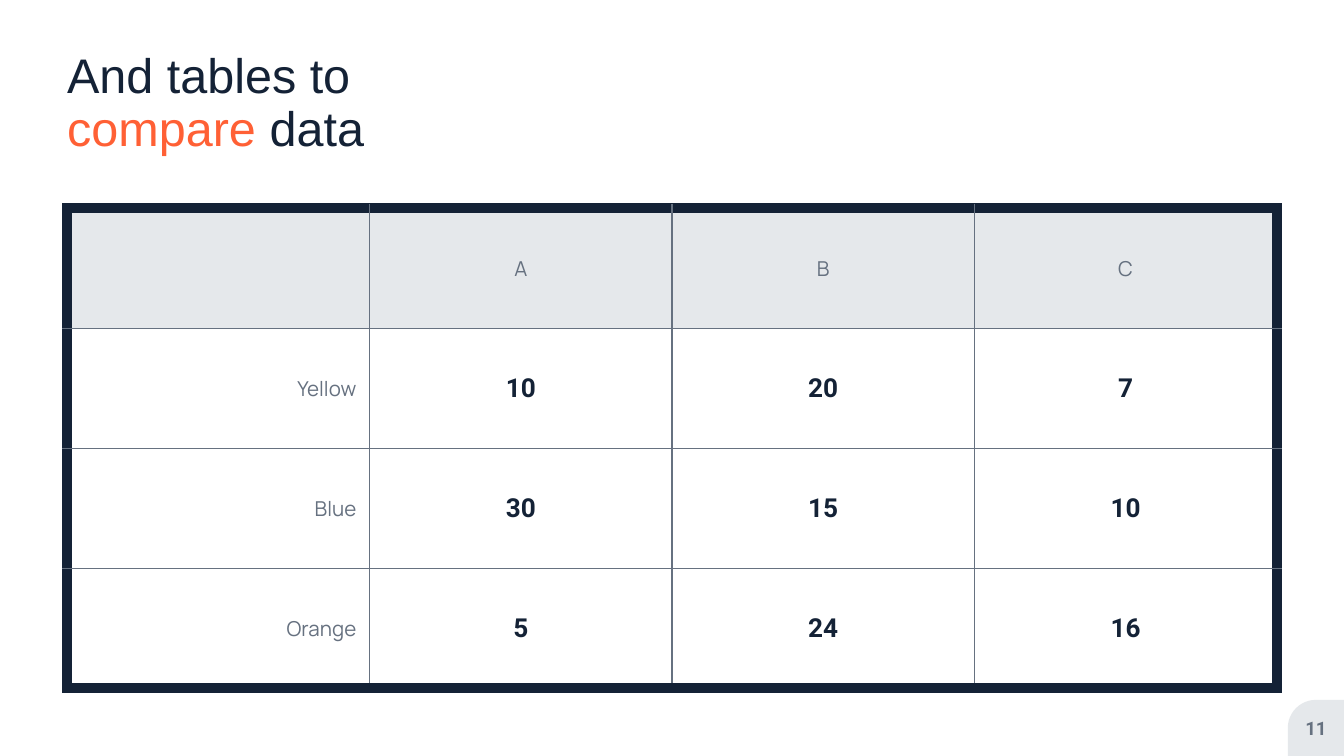
from dataclasses import dataclass

from lxml import etree
from pptx import Presentation
from pptx.dml.color import RGBColor
from pptx.enum import shapes, text
from pptx.oxml import ns
from pptx.util import Cm, Pt

ALIGN = text.PP_ALIGN


@dataclass(frozen=True)
class TextStyle:
    font: str
    size: float
    color: str
    bold: bool = False


@dataclass(frozen=True)
class Border:
    color: str
    width: float


@dataclass(frozen=True)
class Box:
    left: float
    top: float
    width: float
    height: float

    def lengths(self) -> tuple:
        return Cm(self.left), Cm(self.top), Cm(self.width), Cm(self.height)


@dataclass(frozen=True)
class Theme:
    navy: str = "142236"
    slate: str = "667180"
    mist: str = "E5E8EB"
    white: str = "FFFFFF"
    accent: str = "FF6035"
    title: TextStyle = TextStyle("Arial", 26, navy)
    label: TextStyle = TextStyle("Manrope", 11, slate)
    value: TextStyle = TextStyle("Roboto", 14, navy, True)
    number: TextStyle = TextStyle("Roboto", 10, slate, True)
    frame: Border = Border(navy, 6)
    rule: Border = Border(slate, 0.75)


THEME = Theme()
TITLE = Box(1.27, 0, 8.81, 3.94)
TABLE = Box(1.27, 3.94, 22.86, 9.07)
TAB = Box(24.34, 13.23, 1.06, 1.06)
ROWS = [
    ("", "A", "B", "C"),
    ("Yellow", "10", "20", "7"),
    ("Blue", "30", "15", "10"),
    ("Orange", "5", "24", "16"),
]


def style_paragraph(p, style: TextStyle, align=ALIGN.LEFT) -> None:
    p.alignment = align
    p.font.name, p.font.size, p.font.bold = style.font, Pt(style.size), style.bold
    p.font.color.rgb = RGBColor.from_string(style.color)


def add_text_box(slide, box: Box):
    tf = slide.shapes.add_textbox(*box.lengths()).text_frame
    tf.word_wrap = True
    tf.vertical_anchor = text.MSO_ANCHOR.MIDDLE
    tf.margin_left = tf.margin_right = tf.margin_top = tf.margin_bottom = 0
    return tf


def add_title(slide) -> None:
    p = add_text_box(slide, TITLE).paragraphs[0]
    style_paragraph(p, THEME.title)
    p.line_spacing = 0.9
    for words, color in (("And tables to ", THEME.navy),
                         ("compare", THEME.accent),
                         (" data", THEME.navy)):
        r = p.add_run()
        r.text = words
        r.font.color.rgb = RGBColor.from_string(color)


def set_border(cell, side: str, border: Border) -> None:
    tc_pr = cell._tc.get_or_add_tcPr()
    ln = etree.SubElement(tc_pr, ns.qn(f"a:ln{side}"), w=str(Pt(border.width)))
    fill = etree.SubElement(ln, ns.qn("a:solidFill"))
    etree.SubElement(fill, ns.qn("a:srgbClr"), val=border.color)


def add_table(slide, rows: list) -> None:
    n_rows, n_cols = len(rows), len(rows[0])
    table = slide.shapes.add_table(n_rows, n_cols, *TABLE.lengths()).table
    table.first_row = table.horz_banding = False
    for row in table.rows:
        row.height = Cm(TABLE.height / n_rows)
    for column in table.columns:
        column.width = Cm(TABLE.width / n_cols)

    for i, row in enumerate(rows):
        for j, words in enumerate(row):
            cell = table.cell(i, j)
            # Heavy frame on the outer edges, thin rules inside
            outer = {"L": j == 0, "R": j == n_cols - 1,
                     "T": i == 0, "B": i == n_rows - 1}
            for side, is_outer in outer.items():
                set_border(cell, side, THEME.frame if is_outer else THEME.rule)
            cell.fill.solid()
            cell.fill.fore_color.rgb = RGBColor.from_string(
                THEME.mist if i == 0 else THEME.white)

            # Labels in the first row and column, values elsewhere
            cell.vertical_anchor = text.MSO_ANCHOR.MIDDLE
            cell.margin_left = cell.margin_right = Cm(0.25)
            cell.margin_top = cell.margin_bottom = Cm(0.18)
            cell.text = words
            is_label = i == 0 or j == 0
            style_paragraph(cell.text_frame.paragraphs[0],
                            THEME.label if is_label else THEME.value,
                            ALIGN.RIGHT if j == 0 else ALIGN.CENTER)


def add_page_tab(slide, number: str) -> None:
    sp = slide.shapes.add_shape(
        shapes.MSO_SHAPE.ROUND_1_RECTANGLE, *TAB.lengths())
    sp.adjustments[0] = 0.5
    sp._element.spPr.find(ns.qn("a:xfrm")).set("flipH", "1")
    sp.shadow.inherit = False
    sp.fill.solid()
    sp.fill.fore_color.rgb = RGBColor.from_string(THEME.mist)
    sp.line.fill.background()

    p = add_text_box(slide, TAB).paragraphs[0]
    p.text = number
    style_paragraph(p, THEME.number, ALIGN.CENTER)


def main() -> None:
    prs = Presentation()
    prs.slide_width, prs.slide_height = Cm(25.4), Cm(14.29)
    slide = prs.slides.add_slide(prs.slide_layouts[6])
    add_title(slide)
    add_table(slide, ROWS)
    add_page_tab(slide, "11")
    prs.save("out.pptx")


if __name__ == "__main__":
    main()
